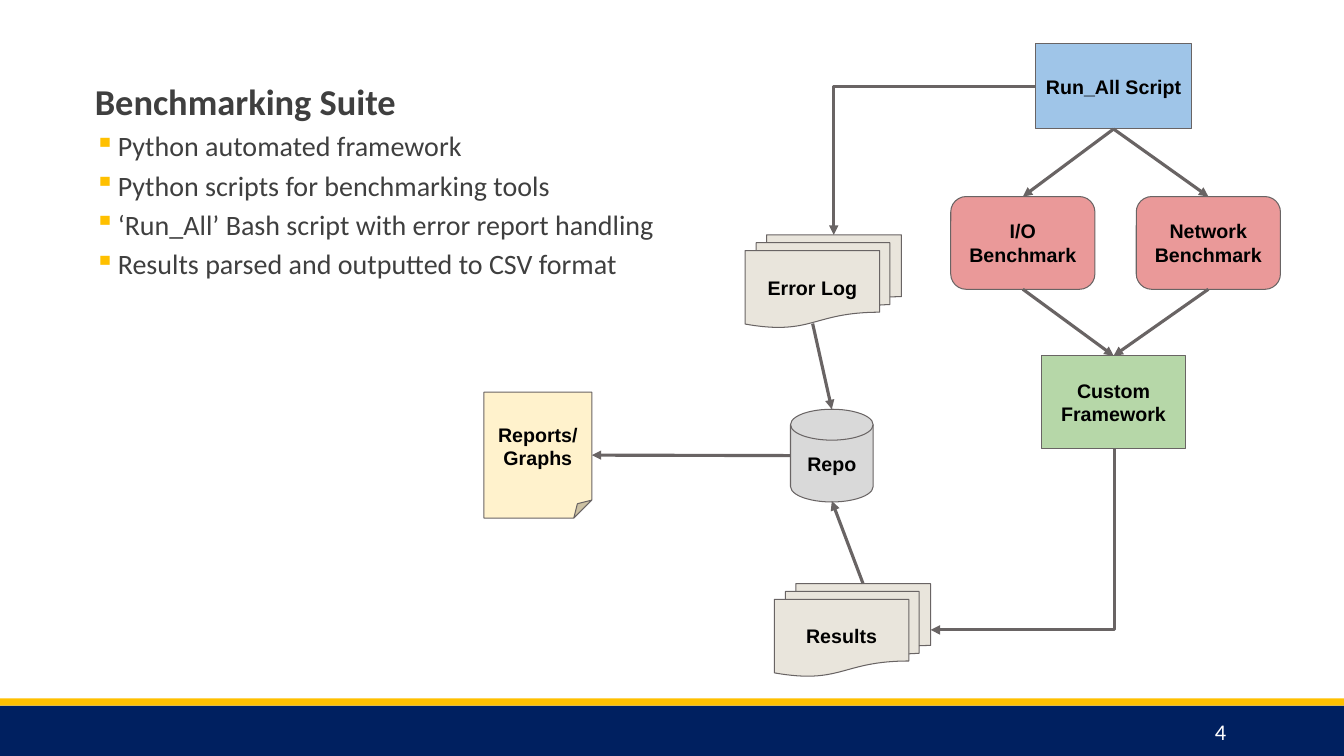
from dataclasses import dataclass

from lxml import etree
from pptx import Presentation
from pptx.dml.color import RGBColor
from pptx.enum import shapes, text
from pptx.oxml import ns
from pptx.util import Inches, Pt

TOP, LEFT, BOTTOM, RIGHT = range(4)
SHAPE = shapes.MSO_SHAPE


@dataclass(frozen=True)
class Theme:
    body_font: str = "Calibri"
    node_font: str = "Arial"
    navy: str = "002060"
    gold: str = "FFC000"
    white: str = "FFFFFF"
    black: str = "000000"
    body: str = "3F3F3F"
    stroke: str = "696464"
    blue: str = "9FC5E8"
    red: str = "EA9999"
    green: str = "B6D7A8"
    paper: str = "E9E5DC"
    grey: str = "D9D9D9"
    cream: str = "FFF2CC"
    title_size: int = 26
    body_size: int = 20
    number_size: int = 16
    node_size: int = 14
    outline: float = 0.75
    arrow: float = 2.25


def add_xml(parent, tag, **attributes):
    return etree.SubElement(parent, ns.qn(tag), attributes)


def side_point(box, side):
    """Middle of one side of a box, in EMU."""
    across = {LEFT: 0, RIGHT: box.width}.get(side, box.width // 2)
    down = {TOP: 0, BOTTOM: box.height}.get(side, box.height // 2)
    return box.left + across, box.top + down


class Diagram:
    def __init__(self, page, theme):
        self.page, self.theme = page, theme

    def style(self, para, size, color, font, bold=False):
        para.font.size, para.font.name, para.font.bold = Pt(size), font, bold
        para.font.color.rgb = RGBColor.from_string(color)

    def shape(self, kind, left, top, width, height, fill):
        box = self.page.shapes.add_shape(
            kind, Inches(left), Inches(top), Inches(width), Inches(height))
        box.shadow.inherit = False
        box.fill.solid()
        box.fill.fore_color.rgb = RGBColor.from_string(fill)
        box.line.fill.background()
        return box

    def node(self, label, kind, left, top, width, height, fill):
        box = self.shape(kind, left, top, width, height, fill)
        box.line.color.rgb = RGBColor.from_string(self.theme.stroke)
        box.line.width = Pt(self.theme.outline)
        frame = box.text_frame
        frame.word_wrap = True
        frame.vertical_anchor = text.MSO_ANCHOR.MIDDLE
        frame.margin_left = frame.margin_right = Inches(0.1)
        frame.margin_top = frame.margin_bottom = Inches(0.1)
        para = frame.paragraphs[0]
        para.text, para.alignment = label, text.PP_ALIGN.CENTER
        self.style(para, self.theme.node_size, self.theme.black, self.theme.node_font, True)
        return box

    def title(self, words, left, top, width, height):
        box = self.page.shapes.title
        box.left, box.top = Inches(left), Inches(top)
        box.width, box.height = Inches(width), Inches(height)
        box.text_frame.vertical_anchor = text.MSO_ANCHOR.TOP
        para = box.text_frame.paragraphs[0]
        para.text, para.alignment = words, text.PP_ALIGN.LEFT
        self.style(para, self.theme.title_size, self.theme.body, self.theme.body_font, True)

    def textbox(self, lines, left, top, width, height, size, color):
        box = self.page.shapes.add_textbox(
            Inches(left), Inches(top), Inches(width), Inches(height))
        frame = box.text_frame
        frame.word_wrap = True
        frame.text = "\n".join(lines)
        for para in frame.paragraphs:
            self.style(para, size, color, self.theme.body_font)
        return frame

    def bullets(self, lines, left, top, width, height):
        frame = self.textbox(lines, left, top, width, height,
                             self.theme.body_size, self.theme.body)
        indent = Inches(0.23)
        for para in frame.paragraphs:
            para.space_after = Pt(4)
            props = para._p.get_or_add_pPr()
            props.set("marL", str(indent))
            props.set("indent", str(-indent))
            mark = etree.Element(ns.qn("a:buClr"))
            add_xml(mark, "a:srgbClr", val=self.theme.gold)
            char = etree.Element(ns.qn("a:buChar"), char="▪")
            props.find(ns.qn("a:defRPr")).addprevious(mark)
            mark.addnext(char)

    def page_number(self, number, left, top, width, height):
        frame = self.textbox([number], left, top, width, height,
                             self.theme.number_size, self.theme.white)
        frame.vertical_anchor = text.MSO_ANCHOR.MIDDLE
        frame.paragraphs[0].alignment = text.PP_ALIGN.RIGHT

    def arrow(self, start, end, bent=False, tip="a:tailEnd"):
        """Each end is an (x, y) point in inches or a (box, side) joint."""
        joined = [hasattr(place[0], "shape_id") for place in (start, end)]
        points = [side_point(*place) if joint else tuple(map(Inches, place))
                  for place, joint in zip((start, end), joined)]
        kind = shapes.MSO_CONNECTOR.ELBOW if bent else shapes.MSO_CONNECTOR.STRAIGHT
        line = self.page.shapes.add_connector(kind, *points[0], *points[1])
        if joined[0]:
            line.begin_connect(*start)
        if joined[1]:
            line.end_connect(*end)
        line.line.color.rgb = RGBColor.from_string(self.theme.stroke)
        line.line.width = Pt(self.theme.arrow)
        props = line._element.spPr
        if bent:
            props.find(ns.qn("a:prstGeom")).set("prst", "bentConnector2")
        add_xml(props.find(ns.qn("a:ln")), tip, type="triangle")
        add_xml(props, "a:effectLst")


def main():
    theme = Theme()
    deck = Presentation()
    deck.slide_width, deck.slide_height = Inches(13.33), Inches(7.5)
    page = deck.slides.add_slide(deck.slide_layouts[5])
    diagram = Diagram(page, theme)

    diagram.shape(SHAPE.RECTANGLE, 0, 7, 13.33, 0.5, theme.navy)
    diagram.shape(SHAPE.RECTANGLE, 0, 6.93, 13.33, 0.07, theme.gold)
    diagram.page_number("4", 10.83, 7.06, 1.43, 0.4)
    diagram.title("Benchmarking Suite", 0.84, 0.73, 6, 0.5)
    diagram.bullets([
        "Python automated framework",
        "Python scripts for benchmarking tools",
        "‘Run_All’ Bash script with error report handling",
        "Results parsed and outputted to CSV format",
    ], 0.84, 1.23, 6.4, 1.75)

    framework = diagram.node("Custom Framework", SHAPE.RECTANGLE,
                             10.33, 3.53, 1.43, 0.92, theme.green)
    run_all = diagram.node("Run_All Script", SHAPE.RECTANGLE,
                           10.27, 0.43, 1.55, 0.85, theme.blue)
    reports = diagram.node("Reports/Graphs", SHAPE.FOLDED_CORNER,
                           4.8, 3.89, 1.07, 1.25, theme.cream)
    for label, left, top in (("Error Log", 7.39, 2.33), ("Results", 7.68, 5.79)):
        diagram.node(label, SHAPE.FLOWCHART_MULTIDOCUMENT, left, top, 1.55, 0.92, theme.paper)
    diagram.node("Repo", SHAPE.FLOWCHART_MAGNETIC_DISK, 7.84, 4.06, 0.82, 0.92, theme.grey)

    for label, left in (("I/O Benchmark", 9.43), ("Network Benchmark", 11.27)):
        benchmark = diagram.node(label, SHAPE.ROUNDED_RECTANGLE,
                                 left, 1.95, 1.43, 0.92, theme.red)
        diagram.arrow((run_all, BOTTOM), (benchmark, TOP))
        diagram.arrow((benchmark, BOTTOM), (framework, TOP))

    diagram.arrow((10.27, 0.86), (8.27, 2.33), bent=True)
    diagram.arrow((9.23, 6.25), (11.05, 4.45), bent=True, tip="a:headEnd")
    diagram.arrow((8.06, 3.21), (8.25, 4.06))
    diagram.arrow((8.56, 5.79), (8.25, 4.97))
    diagram.arrow((7.84, 4.52), (reports, RIGHT))
    deck.save("out.pptx")


if __name__ == "__main__":
    main()
